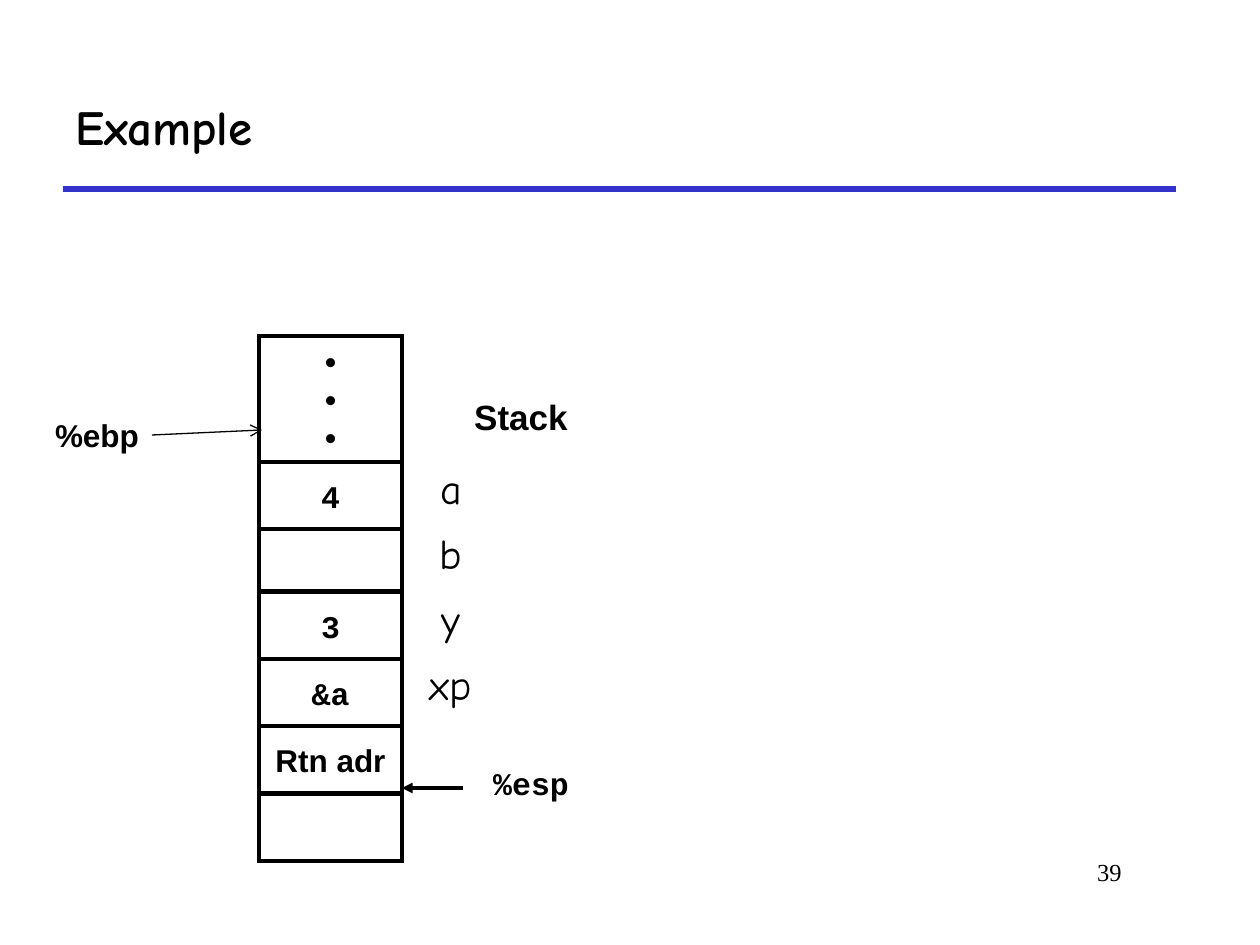
from lxml.etree import SubElement
from pptx import Presentation
from pptx.dml.color import RGBColor
from pptx.enum.shapes import MSO_CONNECTOR as Connector, MSO_SHAPE as Shape
from pptx.enum.text import MSO_ANCHOR as Anchor, PP_ALIGN as Align
from pptx.oxml.ns import qn
from pptx.util import Emu, Pt

COLORS = {"ink": "000000", "paper": "FFFFFF", "rule": "3333CC"}

LABEL = {"name": "Arial", "size": Pt(18), "bold": True}
CODE = {**LABEL, "name": "Courier New"}
HEADING = {**LABEL, "size": Pt(20)}
TITLE = {"name": "Comic Neue", "size": Pt(28), "bold": True}
VARIABLE = {"name": "Comic Neue", "size": Pt(24), "bold": False}
NUMBER = {"name": "Times New Roman", "size": Pt(14), "bold": False}

STACK_LEFT, STACK_WIDTH, CELL_HEIGHT = 259, 143, 67
STACK_CELLS = [
    (524, "", CODE),
    (462, "4", CODE),
    (592, "3", CODE),
    (659, "&a", CODE),
    (726, "Rtn adr", LABEL),
    (794, "", CODE),
]


def px(length):
    return Emu(round(length * 914400 / 126))


def color(name):
    return RGBColor.from_string(COLORS[name])


def write(frame, text, style, align=Align.CENTER):
    """Fill a text frame, one paragraph for each line of text."""
    for index, line in enumerate(text.split("\n")):
        para = frame.paragraphs[0] if index == 0 else frame.add_paragraph()
        para.alignment = align
        span = para.add_run()
        span.text = line
        for key, value in style.items():
            setattr(span.font, key, value)
        span.font.color.rgb = color("ink")


def add_label(page, bounds, text, style, align=Align.CENTER, wrap=False):
    box = page.shapes.add_textbox(*map(px, bounds))
    box.text_frame.word_wrap = wrap
    write(box.text_frame, text, style, align)


def add_stack_cell(page, top, height, text, style):
    cell = page.shapes.add_shape(
        Shape.RECTANGLE, *map(px, (STACK_LEFT, top, STACK_WIDTH, height)))
    cell.shadow.inherit = False
    cell.fill.solid()
    cell.fill.fore_color.rgb = color("paper")
    cell.line.color.rgb = color("ink")
    cell.line.width = Pt(2)
    outline = cell._element.spPr.find(qn("a:ln"))
    SubElement(outline, qn("a:miter"), lim="800000")
    frame = cell.text_frame
    frame.word_wrap = False
    frame.vertical_anchor = Anchor.MIDDLE
    if text:
        write(frame, text, style)


def add_line(page, ends, width, line_color="ink", head=None):
    line = page.shapes.add_connector(Connector.STRAIGHT, *map(px, ends))
    line.line.color.rgb = color(line_color)
    line.line.width = Pt(width)
    properties = line._element.spPr
    if head:
        SubElement(properties.find(qn("a:ln")), qn("a:tailEnd"), type=head)
    SubElement(properties, qn("a:effectLst"))


def add_variable_table(page, names):
    bounds = map(px, (409, 460, 84, 262))
    table = page.shapes.add_table(len(names), 1, *bounds).table
    table.first_row = table.horz_banding = False
    for row, name in enumerate(names):
        cell = table.cell(row, 0)
        cell.fill.solid()
        cell.fill.fore_color.rgb = color("paper")
        write(cell.text_frame, name, VARIABLE)


def add_title(page, text):
    title = page.shapes.title
    bounds = {"left": 63, "top": 63, "width": 1113, "height": 126}
    for key, value in bounds.items():
        setattr(title, key, px(value))
    title.text_frame.vertical_anchor = Anchor.MIDDLE
    write(title.text_frame, text, TITLE, Align.LEFT)


def main():
    deck = Presentation()
    deck.slide_width, deck.slide_height = px(1260), px(945)
    page = deck.slides.add_slide(deck.slide_layouts[5])

    add_line(page, (63, 189, 1176, 189), 3, "rule")
    add_label(page, (955, 851, 179, 63), "39", NUMBER, Align.RIGHT, wrap=True)
    add_title(page, "Example")

    add_stack_cell(page, 336, 126, "•\n•\n•", LABEL)
    for top, text, style in STACK_CELLS:
        add_stack_cell(page, top, CELL_HEIGHT, text, style)
    add_variable_table(page, ["a", "b", "y", "xp"])

    add_label(page, (456, 389, 130, 55), "Stack", HEADING)
    add_label(page, (476, 758, 110, 50), "%esp", CODE)
    add_line(page, (463, 788, 402, 788), 2, head="triangle")
    add_label(page, (42, 410, 110, 50), "%ebp", LABEL, wrap=True)
    add_line(page, (152, 435, 262, 430), 0.75, head="arrow")

    deck.save("out.pptx")


if __name__ == "__main__":
    main()
